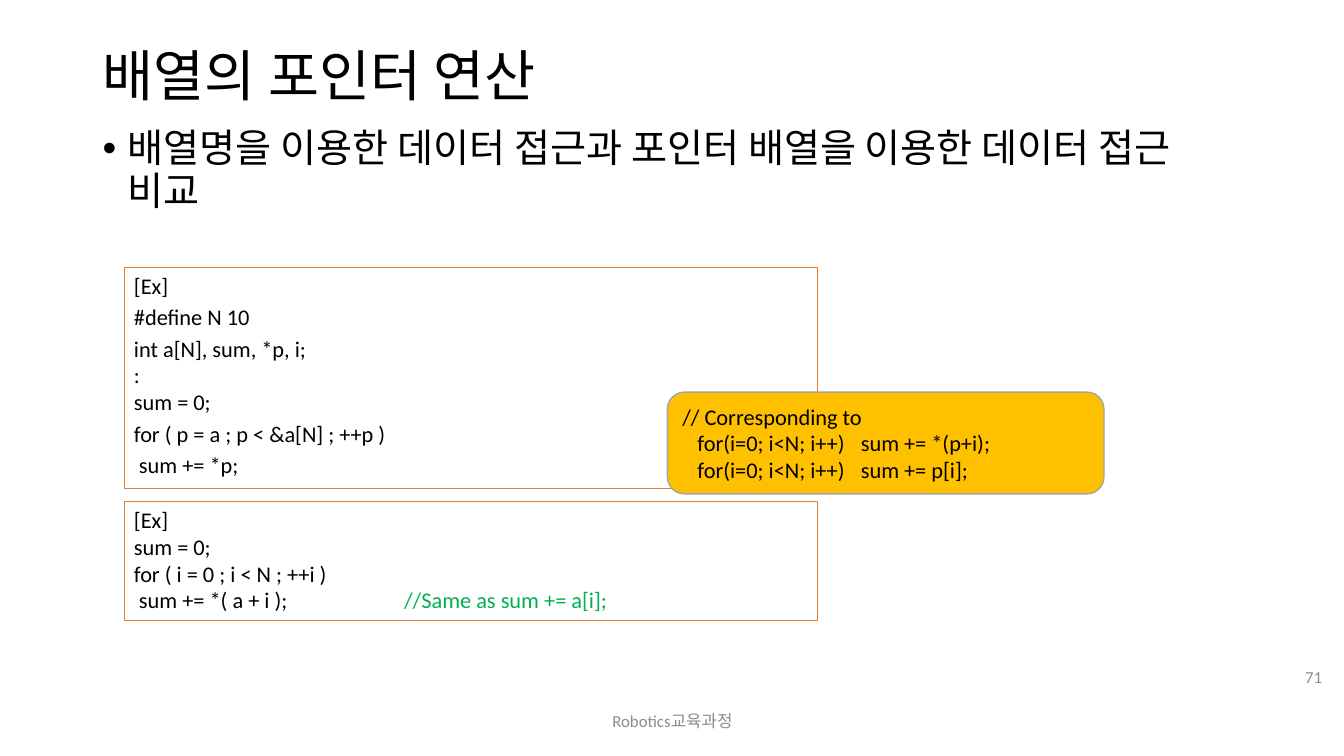
import pptx
import pptx.util
import pptx.dml.color
import pptx.enum.shapes
import pptx.enum.text
import pptx.oxml.ns
from lxml import etree

Inches = pptx.util.Inches
Pt = pptx.util.Pt
Align = pptx.enum.text.PP_ALIGN
Anchor = pptx.enum.text.MSO_ANCHOR
Shape = pptx.enum.shapes.MSO_SHAPE


def color(value):
    return pptx.dml.color.RGBColor.from_string(value)


class Deck:
    face = "Calibri"
    ink = "000000"
    gray = "8C8C8C"
    green = "00B050"
    orange = "ED7D31"

    def __init__(self):
        self.file = pptx.Presentation()
        self.file.slide_width = Inches(13.33)
        self.file.slide_height = Inches(7.5)
        self.slide = self.file.slides.add_slide(self.file.slide_layouts[6])

    def add(self, para, tag, **attrs):
        return etree.SubElement(para, pptx.oxml.ns.qn(tag), **attrs)

    def fill(self, frame, items, size, ink=ink, align=Align.LEFT,
             anchor=Anchor.TOP, gap=0, tab=None, bullet=False, lead=None):
        frame.word_wrap = True
        frame.vertical_anchor = anchor
        for i, item in enumerate(items):
            para = frame.paragraphs[0] if i == 0 else frame.add_paragraph()
            code, mark, note = item.partition("//Same")
            para.text = code
            if mark:
                run = para.add_run()
                run.text = mark + note
                run.font.color.rgb = color(self.green)
            props = para._p.get_or_add_pPr()
            if bullet:
                props.set("marL", str(Inches(0.25)))
                props.set("indent", str(-Inches(0.25)))
                self.add(props, "a:buFont", typeface="Arial")
                self.add(props, "a:buChar", char="•")
            if tab:
                tabs = self.add(props, "a:tabLst")
                self.add(tabs, "a:tab", pos=str(Inches(tab)), algn="l")
            para.alignment = align
            if lead:
                para.line_spacing = lead
            if i and gap:
                para.space_before = Pt(gap)
            para.font.name = self.face
            para.font.size = Pt(size)
            para.font.color.rgb = color(ink)

    def text(self, place, words, size, **style):
        box = self.slide.shapes.add_textbox(*map(Inches, place))
        self.fill(box.text_frame, [words], size, **style)

    def panel(self, place, items, kind=Shape.RECTANGLE, back=None,
              edge=orange, width=0.5, **style):
        box = self.slide.shapes.add_shape(kind, *map(Inches, place))
        box.shadow.inherit = False
        if back:
            box.fill.solid()
            box.fill.fore_color.rgb = color(back)
        else:
            box.fill.background()
        box.line.color.rgb = color(edge)
        box.line.width = Pt(width)
        self.fill(box.text_frame, items, 16, **style)


def main():
    deck = Deck()
    deck.text((0.92, 0.4, 11.5, 0.75), "배열의 포인터 연산", 39.6,
              anchor=Anchor.MIDDLE, lead=0.9)
    deck.text((0.92, 1.23, 11.5, 5.53),
              "배열명을 이용한 데이터 접근과 포인터 배열을 이용한 데이터 접근 비교",
              28, bullet=True, lead=0.9)
    deck.text((4.42, 6.95, 4.5, 0.4), "Robotics교육과정", 12,
              ink=deck.gray, align=Align.CENTER, anchor=Anchor.MIDDLE)
    deck.text((12.59, 6.51, 0.62, 0.4), "71", 12,
              ink=deck.gray, align=Align.RIGHT, anchor=Anchor.MIDDLE)
    deck.panel((1.23, 2.65, 6.88, 2.2), [
        "[Ex]",
        "#define N 10",
        "int a[N], sum, *p, i;\n:\nsum = 0;",
        "for ( p = a ; p < &a[N] ; ++p )",
        " sum += *p;",
    ], gap=3.2)
    deck.panel((1.23, 4.97, 6.88, 1.18), [
        "[Ex]",
        "sum = 0;",
        "for ( i = 0 ; i < N ; ++i )",
        " sum += *( a + i );\t//Same as sum += a[i];",
    ], tab=2.68)
    deck.panel((6.62, 3.89, 4.33, 1.01), [
        "// Corresponding to\n"
        "   for(i=0; i<N; i++)\tsum += *(p+i);\n"
        "   for(i=0; i<N; i++)\tsum += p[i];",
    ], kind=Shape.ROUNDED_RECTANGLE, back="FFC000", edge="A5A5A5",
        width=1, anchor=Anchor.MIDDLE, tab=1.77)
    deck.file.save("out.pptx")


if __name__ == "__main__":
    main()
